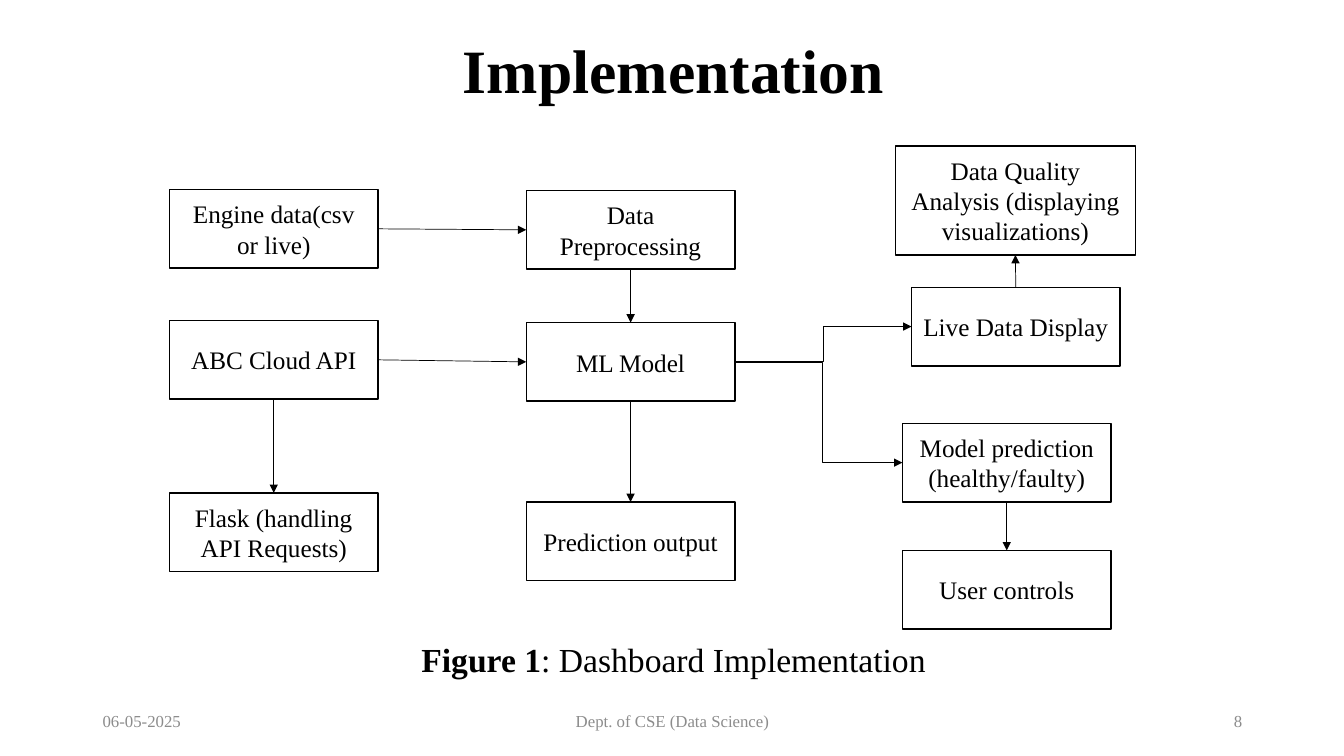
from lxml import etree
from pptx import Presentation
from pptx.dml.color import RGBColor
from pptx.enum.dml import MSO_THEME_COLOR
from pptx.enum.shapes import MSO_CONNECTOR, MSO_SHAPE
from pptx.enum.text import MSO_ANCHOR, MSO_AUTO_SIZE, PP_ALIGN
from pptx.oxml.ns import qn
from pptx.util import Inches, Pt

LEFT, MID, RIGHT = PP_ALIGN.LEFT, PP_ALIGN.CENTER, PP_ALIGN.RIGHT
TOP, CENTER = MSO_ANCHOR.TOP, MSO_ANCHOR.MIDDLE
NONE = MSO_AUTO_SIZE.NONE
RECT = MSO_SHAPE.RECTANGLE
LINE, BENT = MSO_CONNECTOR.STRAIGHT, MSO_CONNECTOR.ELBOW
WIDE, HIGH = Inches(13.33), Inches(7.5)
FONT = "Times New Roman"
COLORS = {"ink": "000000", "paper": "FFFFFF", "muted": "8C8C8C"}
NORTH, WEST, SOUTH, EAST = range(4)
BOX_W, BOX_H = 15.53, 10.4
COL_A, COL_B = 20.37, 46.92

# name: text, centre and top in percent of the slide, then width and height
BOXES = {
    "prep": ("Data Preprocessing", COL_B, 25.2, BOX_W, BOX_H),
    "model": ("ML Model", COL_B, 42.67, BOX_W, BOX_H),
    "engine": ("Engine data(csv or live)", COL_A, 25.07, BOX_W, BOX_H),
    "cloud": ("ABC Cloud API", COL_A, 42.4, BOX_W, BOX_H),
    "flask": ("Flask (handling API Requests)", COL_A, 65.2, BOX_W, BOX_H),
    "output": ("Prediction output", COL_B, 66.4, BOX_W, BOX_H),
    "quality": ("Data Quality Analysis (displaying visualizations)",
                75.55, 19.33, 17.85, 14.4),
    "live": ("Live Data Display", 75.58, 38, BOX_W, BOX_H),
    "health": ("Model prediction\n(healthy/faulty)", 74.91, 56, BOX_W, BOX_H),
    "user": ("User controls", 74.91, 72.8, BOX_W, BOX_H),
}
LINKS = [
    ("engine", EAST, "prep", WEST, LINE),
    ("cloud", EAST, "model", WEST, LINE),
    ("prep", SOUTH, "model", NORTH, LINE),
    ("cloud", SOUTH, "flask", NORTH, LINE),
    ("model", EAST, "live", WEST, BENT),
    ("model", EAST, "health", WEST, BENT, 52200),
    ("model", SOUTH, "output", NORTH, LINE),
    ("health", SOUTH, "user", NORTH, LINE),
    ("live", NORTH, "quality", SOUTH, LINE),
]
FOOTERS = [
    ("06-05-2025", 6.9, 22.5, LEFT),
    ("Dept. of CSE (Data Science)", 33.16, 33.76, MID),
    ("8", 70.67, 22.5, RIGHT),
]


def color(name):
    """Return the named colour."""
    return RGBColor.from_string(COLORS[name])


def place(left, top, width, height):
    """Turn percentages of the slide into lengths."""
    return (int(WIDE * left / 100), int(HIGH * top / 100),
            int(WIDE * width / 100), int(HIGH * height / 100))


def write(shape, text, size=18, ink="ink", bold=False, lead="",
          align=MID, anchor=CENTER, space=None):
    """Fill a shape with formatted text, after an optional bold lead."""
    frame = shape.text_frame
    frame.word_wrap = True
    frame.auto_size = NONE
    frame.vertical_anchor = anchor
    frame.text = text
    if lead:
        para = frame.paragraphs[0]
        para.clear()
        para.add_run().text = lead
        para.add_run().text = text
    for para in frame.paragraphs:
        para.alignment = align
        para.line_spacing = space
        for run in para.runs:
            font = run.font
            font.name, font.size = FONT, Pt(size)
            font.bold = bold or run.text == lead
            font.color.rgb = color(ink)


def add_text(slide, area, text, **style):
    """Add a text box."""
    write(slide.shapes.add_textbox(*place(*area)), text, **style)


def add_box(slide, text, center, top, width, height):
    """Add an outlined box around its centre line."""
    area = place(center - width / 2, top, width, height)
    box = slide.shapes.add_shape(RECT, *area)
    box.shadow.inherit = False
    box.fill.solid()
    box.fill.fore_color.rgb = color("paper")
    box.line.color.rgb = color("ink")
    box.line.width = Pt(1)
    write(box, text)
    return box


def add_link(slide, start, exit_side, end, entry, kind, bend=None):
    """Join two boxes with an arrow."""
    link = slide.shapes.add_connector(kind, 0, 0, 0, 0)
    link.begin_connect(start, exit_side)
    link.end_connect(end, entry)
    link.line.color.rgb = color("ink")
    link.line.width = Pt(0.5)
    props = link.line._get_or_add_ln()
    etree.SubElement(props, qn("a:tailEnd"), type="triangle")
    frame = props.getparent()
    etree.SubElement(frame, qn("a:effectLst"))
    if bend:
        guides = frame.find(qn("a:prstGeom")).find(qn("a:avLst"))
        etree.SubElement(guides, qn("a:gd"), name="adj1", fmla=f"val {bend}")


def main():
    """Build and save the slide."""
    deck = Presentation()
    deck.slide_width, deck.slide_height = WIDE, HIGH
    slide = deck.slides.add_slide(deck.slide_layouts[5])
    title = slide.shapes.title
    title.left, title.top, title.width, title.height = place(
        6.98, 0, 86.27, 19.33)
    write(title, "Implementation", size=44, bold=True, space=0.9)
    for text, left, width, align in FOOTERS:
        add_text(slide, (left, 92.67, width, 5.33), text,
                 size=12, ink="muted", align=align)
    boxes = {name: add_box(slide, *data) for name, data in BOXES.items()}
    for start, leave, end, *rest in LINKS:
        add_link(slide, boxes[start], leave, boxes[end], *rest)
    add_text(slide, (28.66, 83.87, 42.91, 6.67), ": Dashboard Implementation",
             size=24, lead="Figure 1", anchor=TOP)
    deck.save("out.pptx")


if __name__ == "__main__":
    main()
